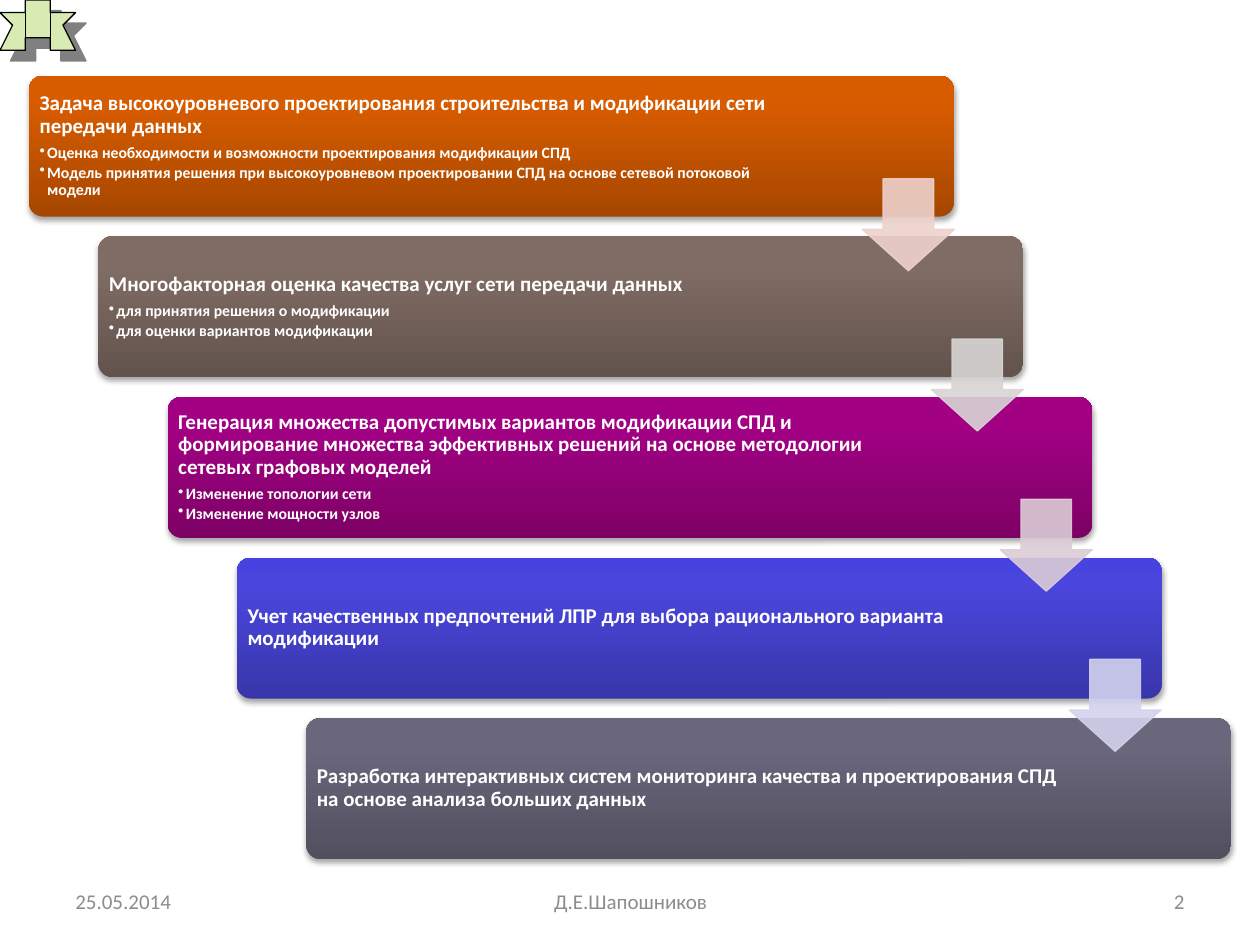
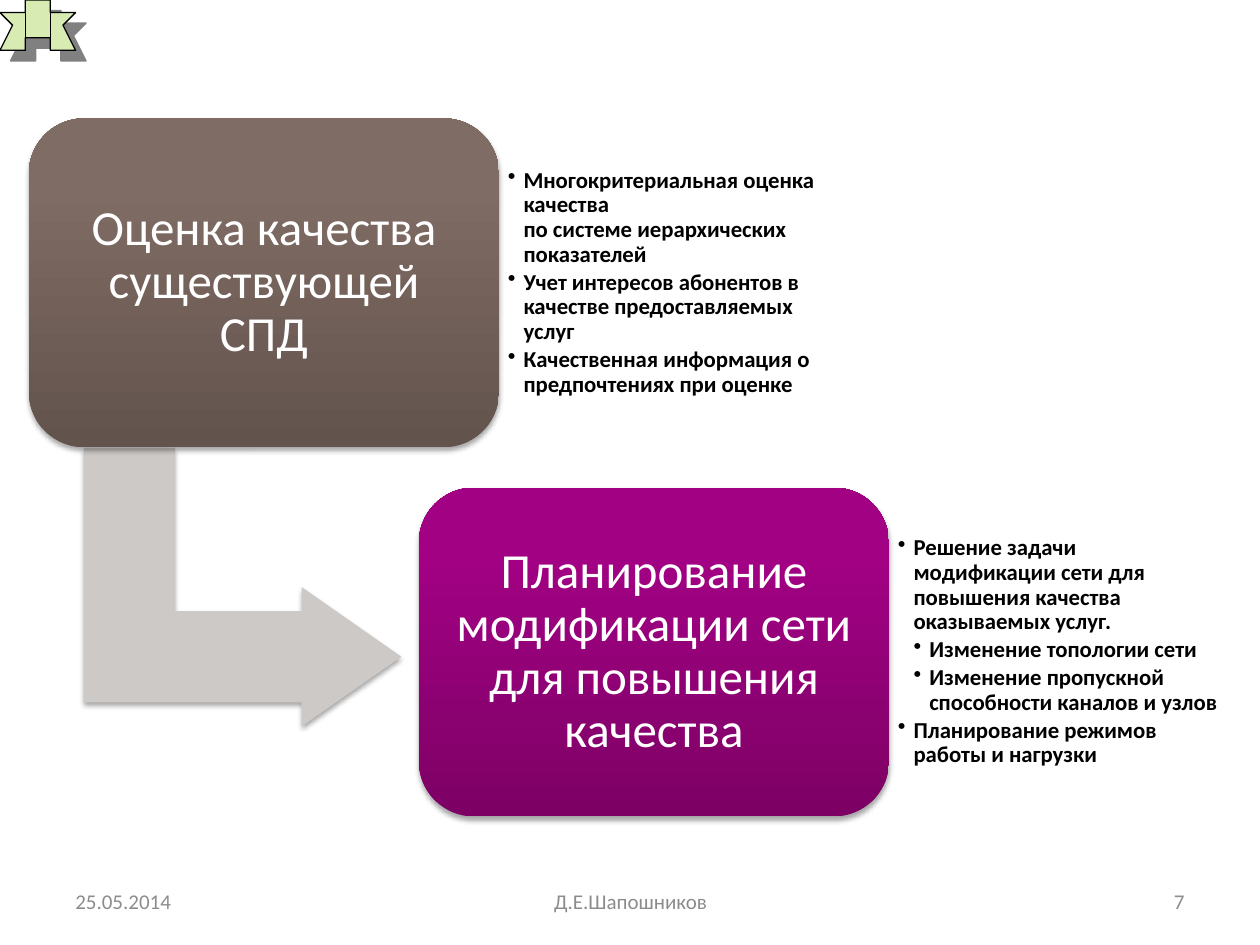
import copy

import pptx
import pptx.dml.color
import pptx.enum.shapes
import pptx.enum.text
import pptx.oxml
import pptx.oxml.ns
import pptx.util
from lxml import etree

MSO = pptx.enum.shapes.MSO_SHAPE
ALIGN = pptx.enum.text.PP_ALIGN
RGB = pptx.dml.color.RGBColor.from_string
qn = pptx.oxml.ns.qn

# Gradients run from the bottom edge to the top
C = {
    "white": "FFFFFF", "black": "000000", "footer": "8C8C8C",
    "ribbon": "D8EBB3", "ribbon_shadow": "808080", "bent": "CDC9C7",
    "orange": ["A64700", "D75C00", "D85D00"],
    "brown": ["62534D", "7F6C64", "806D63"],
    "purple": ["7D0165", "A20184", "A40085"],
    "blue": ["3936AA", "4A46DD", "4743E1"],
    "slate": ["524F5F", "6A667C", "6A667D"],
    "arrows": ["EED2CC", "D8D5D4", "DCCCD7", "D2D2EE"],
}
STOPS = [0, 0.8, 1]
# colour, opacity %, blur pt, distance pt, direction in degrees
SOFT = (C["black"], 35, 3.1, 1.8, 90)
HARD = (C["ribbon_shadow"], 100, 0, 8.5, 45)

prs = pptx.Presentation()
prs.slide_width = pptx.util.Inches(10)
prs.slide_height = pptx.util.Inches(7.5)
# Every box is left, top, width, height in percent of the slide
U, V = prs.slide_width / 100, prs.slide_height / 100


def draw(s, form, place, fill=None, line=None, shadow=None, adj=(), opacity=100):
    """Draw a preset in a box, or an outline through points when form is None."""
    if form is None:
        fb = s.shapes.build_freeform(*place[0], scale=U)
        fb.add_line_segments(place[1:], close=fill is not None)
        sp = fb.convert_to_shape()
    else:
        x, y, w, h = place
        sp = s.shapes.add_shape(form, int(x * U), int(y * V), int(w * U), int(h * V))
    for i, value in enumerate(adj):
        sp.adjustments[i] = value
    if fill is None:
        sp.fill.background()
    elif isinstance(fill, str):
        sp.fill.solid()
        sp.fill.fore_color.rgb = RGB(fill)
    else:
        sp.fill.gradient()
        sp.fill.gradient_angle = 90
        gs = sp._element.spPr.find(".//" + qn("a:gs"))
        gs.addnext(copy.deepcopy(gs))
        for stop, pos, color in zip(sp.fill.gradient_stops, STOPS, fill):
            stop.position, stop.color.rgb = pos, RGB(color)
    if line:
        sp.line.color.rgb = RGB(line)
        sp.line.width = pptx.util.Pt(0.75)
    else:
        sp.line.fill.background()
    if opacity < 100:
        for clr in sp._element.spPr.iter(qn("a:srgbClr")):
            etree.SubElement(clr, qn("a:alpha"), val=str(opacity * 1000))
    sp.shadow.inherit = False
    if shadow:
        color, alpha, blur, dist, angle = shadow
        effects = sp._element.spPr.find(qn("a:effectLst"))
        outer = etree.SubElement(
            effects, qn("a:outerShdw"), blurRad=str(pptx.util.Pt(blur)),
            dist=str(pptx.util.Pt(dist)), dir=str(angle * 60000), rotWithShape="0")
        clr = etree.SubElement(outer, qn("a:srgbClr"), val=color)
        etree.SubElement(clr, qn("a:alpha"), val=str(alpha * 1000))
    return sp


def write(s, box, paras, color, inset=None, bold=False, align=ALIGN.LEFT,
          leading=None, indent=0):
    """Add a text box; each paragraph is text, size, bullet level (0: no bullet)."""
    x, y, w, h = box
    tf = s.shapes.add_textbox(int(x * U), int(y * V), int(w * U), int(h * V)).text_frame
    tf.word_wrap = True
    tf.vertical_anchor = pptx.enum.text.MSO_ANCHOR.MIDDLE
    if inset:
        tf.margin_left = tf.margin_right = int(inset * U)
        tf.margin_top = tf.margin_bottom = int(inset * U)
    for i, (text, size, level) in enumerate(paras):
        p = tf.add_paragraph() if i else tf.paragraphs[0]
        p.text = text
        p.alignment = align
        if leading:
            p.line_spacing = leading
            p.space_after = pptx.util.Pt(size * (0.15 if level else 0.35))
        if level:
            p.level = level
            pPr = p._p.get_or_add_pPr()
            pPr.set("marL", str(int(level * indent * U)))
            pPr.set("indent", str(int(-indent * U)))
            etree.SubElement(pPr, qn("a:buChar"), char="•")
        for r in p.runs:
            r.font.name, r.font.size, r.font.bold = "Calibri", pptx.util.Pt(size), bold
            r.font.color.rgb = RGB(color)


# Shared: ribbon in the corner, mirrored about its axis, and the footer row
AXIS = 2.85
half = [(1.5, 0.4), (1.5, 0.8), (0.1, 0.8), (0.8, 2.3), (0.1, 3.9), (2.2, 3.9), (2.2, 3.4)]
fold = [(1.5, 0.8), (1.5, 3.4), (2.2, 3.9), (2.2, 3.4), (1.5, 3.4)]
mirrored_half = [(2 * AXIS - x, y) for x, y in half]
mirrored_fold = [(2 * AXIS - x, y) for x, y in fold]

slides = []
for number in ("2", "7"):
    s = prs.slides.add_slide(prs.slide_layouts[6])
    slides.append(s)
    draw(s, None, half + mirrored_half[::-1], C["ribbon"], C["black"], HARD)
    for points in (fold, mirrored_fold):
        draw(s, None, points, line=C["black"])
    for left, width, text, align in (
            (5, 23.3, "25.05.2014", ALIGN.LEFT),
            (34.2, 31.7, "Д.Е.Шапошников", ALIGN.CENTER),
            (71.7, 23.3, number, ALIGN.RIGHT)):
        write(s, (left, 92.67, width, 5.33), [(text, 12, 0)], C["footer"], align=align)

# Slide 1: staircase of five stages
stages = [
    ("orange", "Задача высокоуровневого проектирования строительства и модификации сети передачи данных",
     ["Оценка необходимости и возможности проектирования модификации СПД",
      "Модель принятия решения при высокоуровневом проектировании СПД на основе сетевой потоковой модели"]),
    ("brown", "Многофакторная оценка качества услуг сети передачи данных",
     ["для принятия решения о модификации", "для оценки вариантов модификации"]),
    ("purple", "Генерация множества допустимых вариантов модификации СПД и формирование множества "
     "эффективных решений на основе методологии сетевых графовых моделей",
     ["Изменение топологии сети", "Изменение мощности узлов"]),
    ("blue", "Учет качественных предпочтений ЛПР для выбора рационального варианта модификации", []),
    ("slate", "Разработка интерактивных систем мониторинга качества и проектирования СПД "
     "на основе анализа больших данных", []),
]
s = slides[0]
for i, (color, heading, points) in enumerate(stages):
    x, y = 2.3 + 5.5 * i, 8 + 17 * i
    draw(s, MSO.ROUNDED_RECTANGLE, (x, y, 73.4, 14.93), C[color], shadow=SOFT, adj=[0.1])
    write(s, (x + 0.35, y + 0.4, 60, 14), [(heading, 12, 0)] + [(t, 9, 1) for t in points],
          C["white"], inset=0.5, bold=True, leading=0.9, indent=0.6)
for i, color in enumerate(C["arrows"]):
    draw(s, MSO.DOWN_ARROW, (68.45 + 5.47 * i, 18.93 + 16.95 * i, 7.3, 9.73), color, color,
         adj=[0.55, 0.45], opacity=90)

# Slide 2: two steps joined by a bent arrow
steps = [
    ("brown", "Оценка качества существующей СПД",
     [("Многокритериальная оценка качества\nпо системе иерархических показателей", 13, 1),
      ("Учет интересов абонентов в качестве предоставляемых услуг", 13, 1),
      ("Качественная информация о предпочтениях при оценке", 13, 1)]),
    ("purple", "Планирование модификации сети для повышения качества",
     [("Решение задачи модификации сети для повышения качества оказываемых услуг.", 13, 1),
      ("Изменение топологии сети", 13, 2),
      ("Изменение пропускной способности каналов и узлов", 13, 2),
      ("Планирование режимов работы и нагрузки", 13, 1)]),
]
s = slides[1]
sp = draw(s, MSO.BENT_UP_ARROW, (8.2, 45.33, 22.1, 33.6), C["bent"], shadow=SOFT,
          adj=[0.328, 0.25, 0.358])
sp.rotation = 90
for i, (color, heading, points) in enumerate(steps):
    x, y = 2.3 + 30.95 * i, 12.53 + 39.07 * i
    draw(s, MSO.ROUNDED_RECTANGLE, (x, y, 37.3, 34.8), C[color], shadow=SOFT, adj=[0.167])
    write(s, (x + 1.3, y + 1.73, 34.7, 31.33), [(heading, 28, 0)], C["white"], inset=1.2,
          align=ALIGN.CENTER, leading=0.9)
    write(s, (x + 37.3, y + 3.33, 27.1, 28.13), points, C["black"], inset=0.7, bold=True,
          leading=0.9, indent=1.25)

prs.save("out.pptx")
